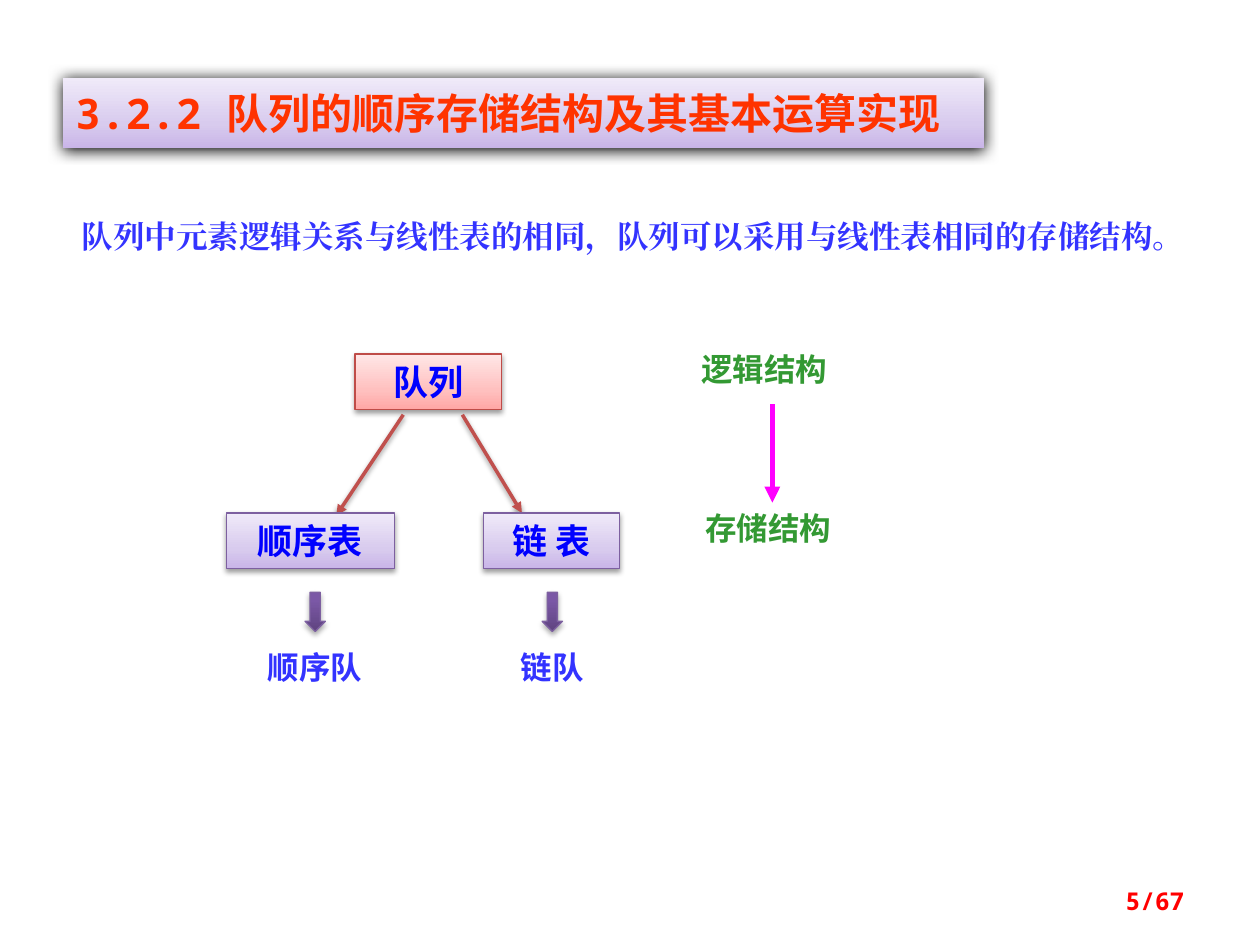
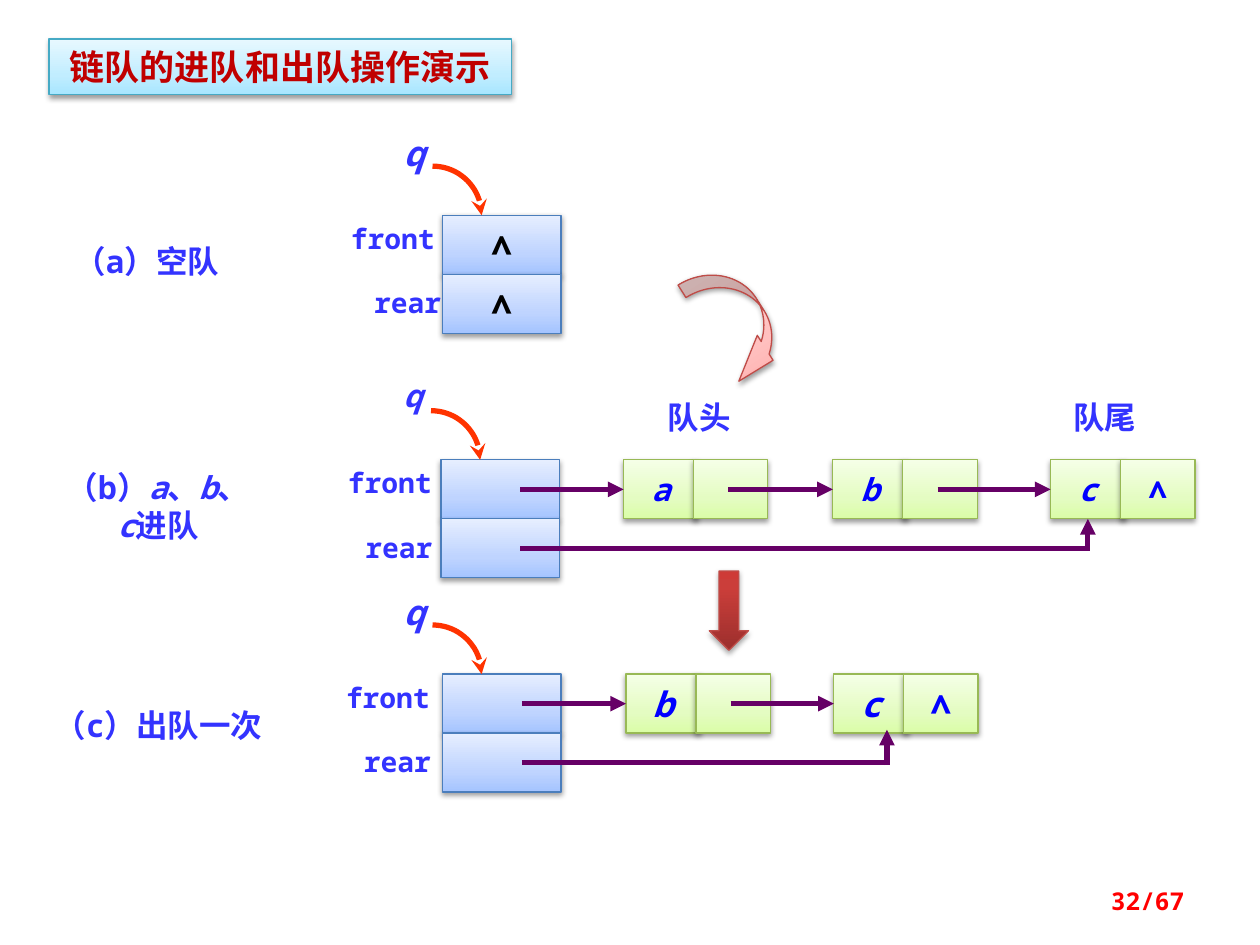
"""Builds two slides about queues: storage structures and linked-queue steps."""
from collections import namedtuple
from math import cos, pi, sin

from lxml.etree import SubElement as Sub
from pptx import Presentation
from pptx.dml.color import RGBColor
from pptx.enum.shapes import MSO_CONNECTOR as Conn, MSO_SHAPE as Form
from pptx.enum.text import MSO_ANCHOR as Anchor, PP_ALIGN as Align
from pptx.oxml.ns import qn
from pptx.util import Cm, Pt

BLACK = RGBColor(0x00, 0x00, 0x00)
RED = RGBColor(0xFF, 0x00, 0x00)
BRICK = RGBColor(0xC0, 0x00, 0x00)
ORANGE = RGBColor(0xFF, 0x33, 0x00)
INDIGO = RGBColor(0x33, 0x33, 0xFF)
BLUE = RGBColor(0x00, 0x00, 0xFF)
GREEN = RGBColor(0x33, 0x99, 0x33)
PINK = RGBColor(0xFF, 0x00, 0xFF)
RUST = RGBColor(0xC0, 0x50, 0x4D)
PLUM = RGBColor(0x66, 0x00, 0x66)

Tone = namedtuple("Tone", "low mid high edge turn")


def tone(low, mid, high, edge, turn=35):
    """Return a three-stop gradient with its edge colour."""
    return Tone(*map(RGBColor.from_string, (low, mid, high, edge)), turn)


ROSE = tone("FFA6A5", "FFC0BF", "FFE7E7", "BF4C48")
LILAC = tone("C9B5E8", "D8CBEE", "F0EAF9", "7D60A0")
AQUA = tone("A7E6FF", "C1EDFF", "E7F8FF", "46AAC5")
SKY = tone("A4C4FF", "BFD4FF", "E6EEFF", "4B7EBC")
LIME = tone("DAFDA7", "E4FCC2", "F5FFE7", "98B955")
GRAPE = tone("5F4480", "7B58A6", "7C57A8", "7D60A0", 80)
CRIMSON = tone("9C2F2D", "CB3E3A", "CE3B37", "BF4C48", 80)

MONO = "Noto Sans Mono"
SANS = "Noto Sans CJK SC"
PLAIN = "Noto Sans CJK JP"
SERIF = "Times New Roman"
CAL = "Calibri"

NAMES = {"a", "b", "c", "q"}
CELL_W, CELL_H = 2.39, 1.19
NODE_W, NODE_GAP = 1.5, 1.41


def write(frame, words, size, color, face=MONO, align=Align.CENTER):
    """Write the pieces of text parted by bars, with names in italics."""
    para = frame.paragraphs[0]
    para.alignment = align
    for word in words.split("|"):
        run = para.add_run()
        run.text = word
        font = run.font
        font.size, font.bold, font.italic = Pt(size), True, word in NAMES
        font.name, font.color.rgb = face, color
        Sub(run._r.get_or_add_rPr(), qn("a:ea"), typeface=face)
    return para


def text(slide, x, y, w, h, words, size, color=INDIGO, face=MONO, align=Align.CENTER):
    """Add a wrapped text box and return its paragraph."""
    frame = slide.shapes.add_textbox(Cm(x), Cm(y), Cm(w), Cm(h)).text_frame
    frame.word_wrap = True
    return write(frame, words, size, color, face, align)


def shade(props, blur=3.1, dist=1.6, alpha=38):
    """Put a soft downward shadow in the effect list."""
    cast = Sub(props.find(qn("a:effectLst")), qn("a:outerShdw"), blurRad=str(Pt(blur)),
               dist=str(Pt(dist)), dir="5400000", rotWithShape="0")
    ink = Sub(cast, qn("a:srgbClr"), val=str(BLACK))
    Sub(ink, qn("a:alpha"), val=str(alpha * 1000))


def block(slide, form, x, y, w, h, hue, edge=True, **cast):
    """Add a shaded shape with a gradient that rises from its foot."""
    shape = slide.shapes.add_shape(form, Cm(x), Cm(y), Cm(w), Cm(h))
    shape.fill.gradient()
    shape.fill.gradient_angle = 90
    stops = shape._element.spPr.find(qn("a:gradFill")).find(qn("a:gsLst"))
    stops.clear()
    for place, color in zip((0, hue.turn, 100), hue):
        stop = Sub(stops, qn("a:gs"), pos=str(place * 1000))
        Sub(stop, qn("a:srgbClr"), val=str(color))
    if edge:
        shape.line.color.rgb, shape.line.width = hue.edge, Pt(0.75)
    else:
        shape.line.fill.background()
    shape.shadow.inherit = False
    shade(shape._element.spPr, **cast)
    return shape


def label(slide, x, y, w, h, hue, words, size, color, face=MONO, **cast):
    """Add a rectangle with centred text."""
    shape = block(slide, Form.RECTANGLE, x, y, w, h, hue, **cast)
    shape.text_frame.word_wrap = False
    shape.text_frame.vertical_anchor = Anchor.MIDDLE
    if words:
        write(shape.text_frame, words, size, color, face)
    return shape


def tip(shape, kind):
    """Put an arrowhead at the end of a line."""
    Sub(shape._element.spPr.find(qn("a:ln")), qn("a:tailEnd"), type=kind)


def link(slide, x1, y1, x2, y2, color, width=3, head=True, cast=False):
    """Add a straight line, with an arrowhead unless told otherwise."""
    line = slide.shapes.add_connector(Conn.STRAIGHT, Cm(x1), Cm(y1), Cm(x2), Cm(y2))
    line.line.color.rgb, line.line.width = color, Pt(width)
    if head:
        tip(line, "triangle")
    props = line._element.spPr
    Sub(props, qn("a:effectLst"))
    if cast:
        shade(props)
    return line


def bend(slide, x, y, size):
    """Add a quarter-circle arrow that starts level and ends pointing down."""
    turns = [i * pi / 40 for i in range(21)]
    dots = [(Cm(x + size * sin(t)), Cm(y + size * (1 - cos(t)))) for t in turns]
    pen = slide.shapes.build_freeform(*dots[0])
    pen.add_line_segments(dots[1:], close=False)
    curve = pen.convert_to_shape()
    curve.fill.background()
    curve.line.color.rgb, curve.line.width = ORANGE, Pt(3)
    curve.shadow.inherit = False
    tip(curve, "stealth")


def head(slide, x, y, size, front, rear, mark=""):
    """Draw the queue head q, its two cells and their centred labels."""
    for row in range(2):
        label(slide, x, y + row * CELL_H, CELL_W, CELL_H, SKY, mark, 20, BLACK)
    bend(slide, x - 0.2, y - 0.99, 0.99)
    text(slide, x - 1.17, y - 1.82, 1.19, 1.12, "q", size)
    text(slide, front - 1.25, y, 2.5, 0.94, "front", 16)
    text(slide, rear - 1.1, y + 1.3, 2.2, 0.94, "rear", 16)


def chain(slide, x, y, size, nodes):
    """Draw the nodes, link them from the head and return the last data cell."""
    mid, start = y + CELL_H / 2, x + 1.6
    for name, left in nodes:
        mark = "∧" if name == nodes[-1][0] else ""
        cell = label(slide, left, y, NODE_W, CELL_H, LIME, name, size, BLUE)
        label(slide, left + NODE_GAP, y, NODE_W, CELL_H, LIME, mark, size, BLUE)
        link(slide, start, mid, left, mid, PLUM).end_connect(cell, 1)
        start = left + 2.11
    return cell


def hook(slide, x, y, end):
    """Lead the rear pointer along and up to the last node."""
    low = y + 1.5 * CELL_H
    link(slide, x + 1.6, low, end, low, PLUM, head=False)
    return link(slide, end, low + 0.05, end, y + 1.12, PLUM)


def foot(slide, number):
    """Add the page number."""
    para = text(slide, 18.21, 17.65, 5.92, 1.02, f"{number}/67", 14, RED, align=Align.RIGHT)
    para._parent.vertical_anchor = Anchor.MIDDLE


def store(slide):
    """Show how a queue can be stored."""
    para = text(slide, 1.4, 3.96, 22.43, 2.4,
                "队列中元素逻辑关系与线性表的相同，队列可以采用与线性表相同的存储结构。",
                18, INDIGO, SERIF, Align.LEFT)
    para.line_spacing = Pt(30)
    text(slide, 13.89, 6.93, 3.76, 1.02, "逻辑结构", 18, GREEN, SANS, Align.LEFT)
    text(slide, 13.97, 10.13, 3.99, 1.02, "存储结构", 18, GREEN, SANS, Align.LEFT)
    link(slide, 15.57, 8.15, 15.57, 10.13, PINK)
    label(slide, 7.16, 7.14, 2.95, 1.12, ROSE, "队列", 20, BLUE, CAL)
    link(slide, 8.13, 8.36, 6.78, 10.39, RUST, 2, cast=True)
    link(slide, 9.32, 8.36, 10.52, 10.34, RUST, 2, cast=True)
    kinds = (("顺序表", 4.57, 3.38, "顺序队", 6.35), ("链 表", 9.75, 2.74, "链队", 11.13))
    for name, x, w, queue, mid in kinds:
        label(slide, x, 10.34, w, 1.12, LILAC, name, 20, BLUE, SANS)
        block(slide, Form.DOWN_ARROW, mid - 0.2, 11.94, 0.41, 0.79, GRAPE, dist=1.8, alpha=35)
        text(slide, mid - 2.18, 12.93, 4.37, 1.02, queue, 18, face=PLAIN)
    title = label(slide, 1.27, 1.57, 18.57, 1.42, LILAC, "3.2.2 队列的顺序存储结构及其基本运算实现",
                  24, ORANGE, edge=False, blur=8.5, dist=1, alpha=100)
    title.text_frame.word_wrap = True
    title.text_frame.paragraphs[0].alignment = Align.LEFT
    foot(slide, 5)


def steps(slide):
    """Show a linked queue while items enter and leave."""
    label(slide, 0.99, 0.79, 9.32, 1.12, AQUA, "链队的进队和出队操作演示", 20, BRICK, SANS)

    text(slide, 0.76, 4.75, 4.39, 1.02, "（a）空队", 18)
    head(slide, 8.92, 4.34, 20, 7.92, 8.22, "∧")
    curl = block(slide, Form.CURVED_LEFT_ARROW, 14.27, 5.23, 1.19, 2.59, ROSE)
    curl.rotation = 327.7
    curl.adjustments[2] = 0.68

    text(slide, 0.99, 9.32, 4.39, 1.8, "（b）|a|、|b|、|c|进队", 18)
    head(slide, 8.89, 9.27, 18, 7.86, 8.04)
    last = chain(slide, 8.89, 9.27, 18, (("a", 12.57), ("b", 16.79), ("c", 21.18)))
    hook(slide, 8.89, 9.27, 21.18 + NODE_W / 2).end_connect(last, 2)
    for name, x in (("队头", 12.7), ("队尾", 20.88)):
        text(slide, x, 7.9, 2.79, 1.02, name, 18, face=SANS)
    block(slide, Form.DOWN_ARROW, 14.3, 11.51, 0.79, 1.6, CRIMSON, dist=1.8, alpha=35)

    text(slide, 0.2, 14.1, 5.99, 1.02, "（c）出队一次", 18)
    head(slide, 8.92, 13.59, 20, 7.82, 8.01)
    chain(slide, 8.92, 13.59, 20, (("b", 12.62), ("c", 16.81)))
    hook(slide, 8.92, 13.59, 17.88)
    foot(slide, 32)


def main():
    """Build and save the deck."""
    deck = Presentation()
    deck.slide_width, deck.slide_height = Cm(25.4), Cm(19.05)
    for draw in (store, steps):
        draw(deck.slides.add_slide(deck.slide_layouts[6]))
    deck.save("out.pptx")


if __name__ == "__main__":
    main()
